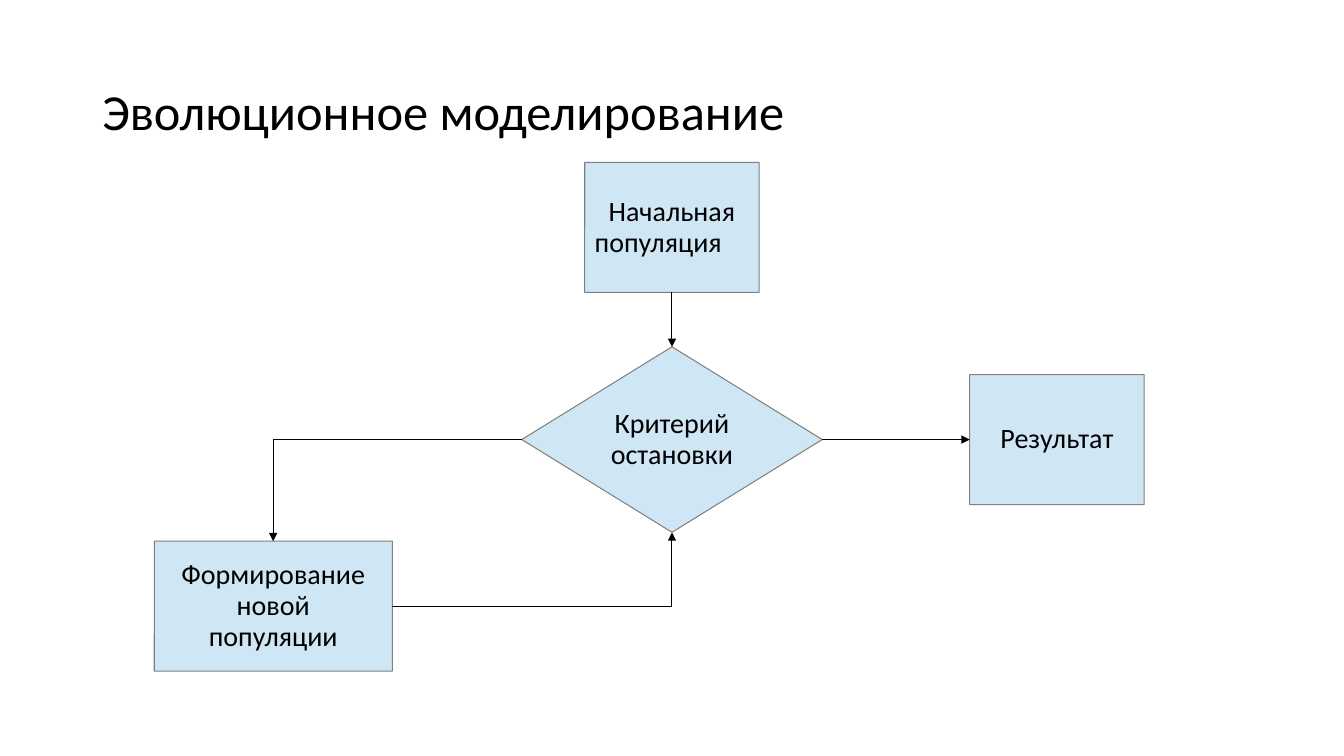
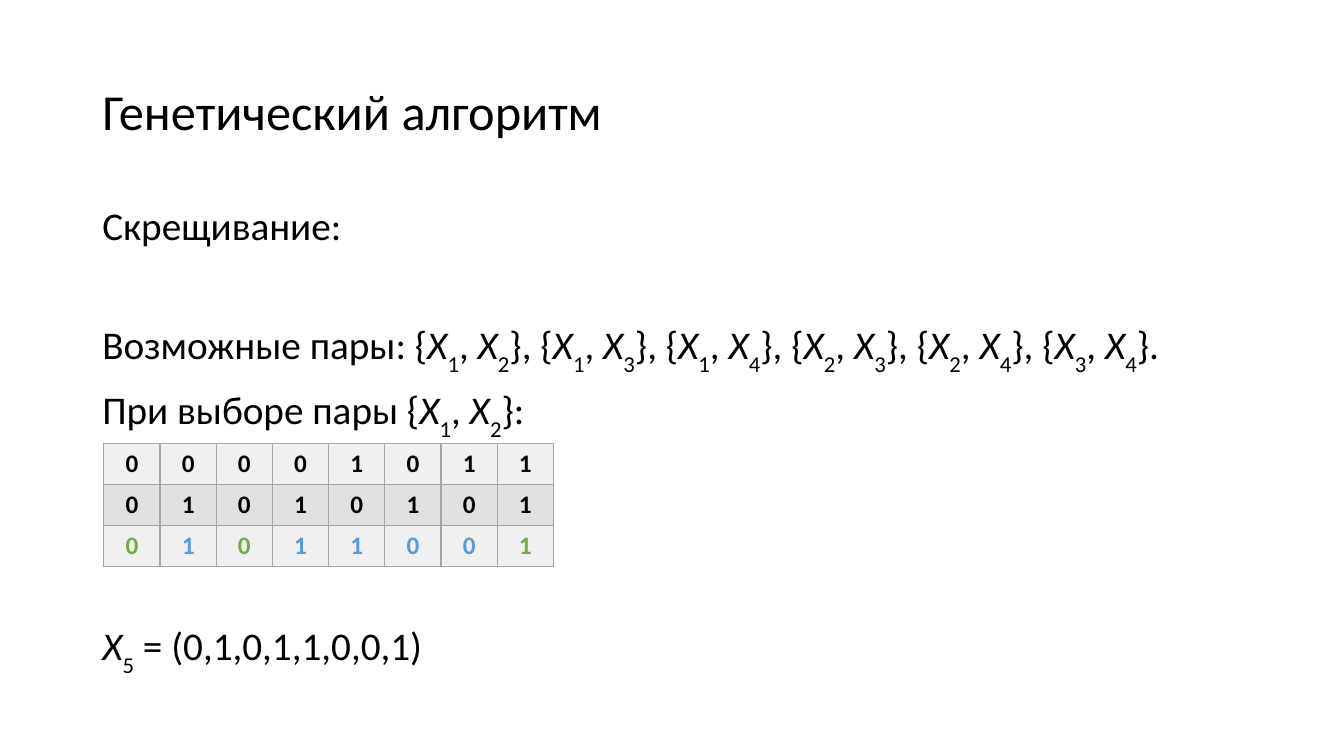
from dataclasses import dataclass
from itertools import combinations
from typing import Any

from lxml.etree import SubElement
from pptx import Presentation
from pptx.dml.color import RGBColor
from pptx.enum.shapes import MSO_CONNECTOR, MSO_SHAPE
from pptx.enum.text import MSO_ANCHOR, PP_ALIGN
from pptx.oxml.ns import qn
from pptx.util import Pt

FONT = "Calibri"
COLORS = {
    "text": "000000",
    "node": "CFE7F5",
    "outline": "808080",
    "border": "A5A5A5",
    "odd_row": "F0F0F0",
    "even_row": "E1E1E1",
    "inherited": "70AD47",
    "crossed": "5B9BD5",
}
TITLE_FORMAT = {"size": Pt(36), "name": FONT}
BODY_FORMAT = {"size": Pt(28), "name": FONT}
NODE_FORMAT = {"size": Pt(20), "name": FONT}
GENE_FORMAT = {"size": Pt(18), "name": FONT, "bold": True}
TOP, LEFT, BOTTOM, RIGHT = range(4)


@dataclass
class Node:
    lines: list[str]
    cx: float
    cy: float
    width: float = 124.6
    height: float = 92.9
    shape: MSO_SHAPE = MSO_SHAPE.ROUNDED_RECTANGLE
    left_lines: tuple[int, ...] = ()


@dataclass
class Link:
    start: str
    start_side: int
    end: str
    end_side: int
    bent: bool = False


@dataclass
class Line:
    text: str
    space_before: float = 10


NODES = {
    "population": Node(["Начальная", "популяция"], 480, 162.4, left_lines=(1,)),
    "criterion": Node(["Критерий", "остановки"], 480, 314, 214.6, 132.5, MSO_SHAPE.DIAMOND),
    "renewal": Node(["Формирование", "новой", "популяции"], 195.2, 433, 170),
    "result": Node(["Результат"], 755, 314),
}
LINKS = [
    Link("population", BOTTOM, "criterion", TOP),
    Link("criterion", LEFT, "renewal", TOP, bent=True),
    Link("criterion", RIGHT, "result", LEFT),
    Link("renewal", RIGHT, "criterion", BOTTOM, bent=True),
]
PARENTS = ["00001011", "01010101"]
CHILD = "01011001"


def rgb(color: str) -> RGBColor:
    return RGBColor.from_string(COLORS[color])


def set_format(target: Any, values: dict[str, Any]) -> None:
    for name, value in values.items():
        setattr(target, name, value)


def add_run(p: Any, text: str, values: dict[str, Any], color: str = "text") -> Any:
    r = p.add_run()
    r.text = text
    set_format(r.font, values)
    r.font.color.rgb = rgb(color)
    return r


def add_text_box(s: Any, top: float, height: float, anchor: MSO_ANCHOR) -> Any:
    tf = s.shapes.add_textbox(Pt(66), Pt(top), Pt(828), Pt(height)).text_frame
    set_format(tf, {"word_wrap": True, "vertical_anchor": anchor})
    return tf


def add_slide(prs: Any, title: str) -> Any:
    s = prs.slides.add_slide(prs.slide_layouts[6])
    p = add_text_box(s, 29, 104.4, MSO_ANCHOR.MIDDLE).paragraphs[0]
    p.line_spacing = 0.9
    add_run(p, title, TITLE_FORMAT)
    return s


def add_node(s: Any, node: Node) -> Any:
    sp = s.shapes.add_shape(
        node.shape, Pt(node.cx - node.width / 2), Pt(node.cy - node.height / 2),
        Pt(node.width), Pt(node.height),
    )
    if node.shape == MSO_SHAPE.ROUNDED_RECTANGLE:
        sp.adjustments[0] = 0.002
    sp.shadow.inherit = False
    sp.fill.solid()
    sp.fill.fore_color.rgb = rgb("node")
    sp.line.color.rgb = rgb("outline")
    sp.line.width = Pt(0.75)
    tf = sp.text_frame
    wrap = node.shape != MSO_SHAPE.DIAMOND
    set_format(tf, {"word_wrap": wrap, "vertical_anchor": MSO_ANCHOR.MIDDLE})
    for i, line in enumerate(node.lines):
        p = tf.paragraphs[0] if i == 0 else tf.add_paragraph()
        align = PP_ALIGN.LEFT if i in node.left_lines else PP_ALIGN.CENTER
        set_format(p, {"alignment": align, "line_spacing": 0.93})
        add_run(p, line, NODE_FORMAT)
    return sp


def add_link(s: Any, link: Link, shapes: dict[str, Any]) -> None:
    kind = MSO_CONNECTOR.ELBOW if link.bent else MSO_CONNECTOR.STRAIGHT
    c = s.shapes.add_connector(kind, Pt(0), Pt(0), Pt(0), Pt(0))
    c.begin_connect(shapes[link.start], link.start_side)
    c.end_connect(shapes[link.end], link.end_side)
    c.line.color.rgb = rgb("text")
    c.line.width = Pt(0.75)
    sp_pr = c._element.spPr
    if link.bent:
        sp_pr.find(qn("a:prstGeom")).set("prst", "bentConnector2")
    SubElement(sp_pr.find(qn("a:ln")), qn("a:tailEnd"), type="triangle")
    SubElement(sp_pr, qn("a:effectLst"))


def add_formula(p: Any, text: str) -> None:
    head, *terms = text.split("X")
    if head:
        add_run(p, head, BODY_FORMAT)
    for term in terms:
        add_run(p, "X", BODY_FORMAT | {"italic": True})
        r = add_run(p, term[0], BODY_FORMAT)
        r.font._element.set("baseline", "-33000")
        add_run(p, term[1:], BODY_FORMAT)


def add_gene(cell: Any, gene: str, color: str, fill: str) -> None:
    tc_pr = cell._tc.get_or_add_tcPr()
    for side in ("a:lnL", "a:lnR", "a:lnT", "a:lnB"):
        ln = SubElement(tc_pr, qn(side), w=str(Pt(1)))
        SubElement(SubElement(ln, qn("a:solidFill")), qn("a:srgbClr"), val=COLORS["border"])
    cell.fill.solid()
    cell.fill.fore_color.rgb = rgb(fill)
    cell.vertical_anchor = MSO_ANCHOR.MIDDLE
    p = cell.text_frame.paragraphs[0]
    p.alignment = PP_ALIGN.CENTER
    add_run(p, gene, GENE_FORMAT, color)


def add_gene_table(s: Any) -> None:
    rows = [*PARENTS, CHILD]
    table = s.shapes.add_table(
        len(rows), len(CHILD), Pt(74.2), Pt(316.8), Pt(321.2), Pt(87.9)
    ).table
    for row, genes in enumerate(rows):
        table.rows[row].height = Pt(29.3)
        fill = "even_row" if row % 2 else "odd_row"
        for col, gene in enumerate(genes):
            color = "text"
            if row == len(PARENTS):
                same = PARENTS[0][col] == PARENTS[1][col]
                color = "inherited" if same else "crossed"
            add_gene(table.cell(row, col), gene, color, fill)


def build_modelling_slide(prs: Any) -> None:
    s = add_slide(prs, "Эволюционное моделирование")
    shapes = {name: add_node(s, node) for name, node in NODES.items()}
    for link in LINKS:
        add_link(s, link, shapes)


def build_crossover_slide(prs: Any) -> None:
    s = add_slide(prs, "Генетический алгоритм")
    pairs = ", ".join(f"{{X{a}, X{b}}}" for a, b in combinations(range(1, 5), 2))
    lines = [
        Line("Скрещивание:"),
        Line(f"Возможные пары: {pairs}.", 50.8),
        Line("При выборе пары {X1, X2}:"),
        Line(f"X5 = ({','.join(CHILD)})", 132.3),
    ]
    tf = add_text_box(s, 144, 342.7, MSO_ANCHOR.TOP)
    for i, line in enumerate(lines):
        p = tf.paragraphs[0] if i == 0 else tf.add_paragraph()
        set_format(p, {"line_spacing": 0.9, "space_before": Pt(line.space_before)})
        add_formula(p, line.text)
    add_gene_table(s)


def main() -> None:
    prs = Presentation()
    set_format(prs, {"slide_width": Pt(960), "slide_height": Pt(540)})
    build_modelling_slide(prs)
    build_crossover_slide(prs)
    prs.save("out.pptx")


if __name__ == "__main__":
    main()
